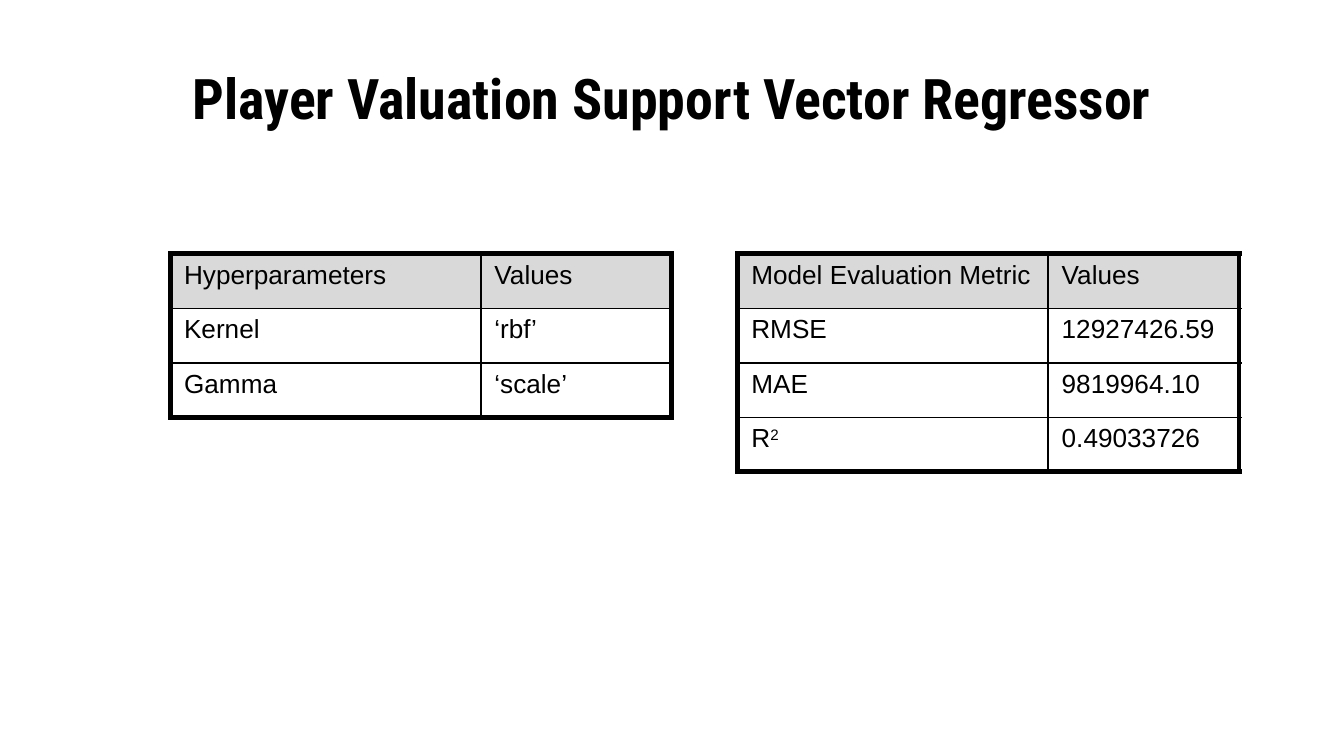
from dataclasses import dataclass

from lxml import etree
from pptx import Presentation
from pptx.dml.color import RGBColor
from pptx.enum.text import MSO_ANCHOR, PP_ALIGN
from pptx.oxml.ns import qn
from pptx.util import Pt

CENTER = PP_ALIGN.CENTER
TOP = MSO_ANCHOR.TOP


@dataclass(frozen=True)
class Theme:
    ink: str = "000000"
    header_fill: str = "D9D9D9"
    title_font: str = "Roboto Condensed"
    body_font: str = "Arial"
    title_size: float = 30
    body_size: float = 14
    outer_line: float = 3
    inner_line: float = 1


@dataclass(frozen=True)
class TextRun:
    text: str
    superscript: bool = False


@dataclass(frozen=True)
class ResultTable:
    left: float
    rows: list  # each row is a (label runs, value) pair; the first is the header


THEME = Theme()
TABLE_TOP = 136
COLUMN_WIDTHS = (166.3, 102.2)
ROW_HEIGHT = 29.2

TABLES = [
    ResultTable(91.4, [
        ([TextRun("Hyperparameters")], "Values"),
        ([TextRun("Kernel")], "‘rbf’"),
        ([TextRun("Gamma")], "‘scale’"),
    ]),
    ResultTable(395.3, [
        ([TextRun("Model Evaluation Metric")], "Values"),
        ([TextRun("RMSE")], "12927426.59"),
        ([TextRun("MAE")], "9819964.10"),
        ([TextRun("R"), TextRun("2", superscript=True)], "0.49033726"),
    ]),
]


def add_run(paragraph, part: TextRun, font_name: str, size: float, bold: bool = False) -> None:
    run = paragraph.add_run()
    run.text = part.text
    run.font.name = font_name
    run.font.size = Pt(size)
    run.font.bold = bold
    run.font.color.rgb = RGBColor.from_string(THEME.ink)
    if part.superscript:
        run.font._element.set("baseline", "30000")


def set_borders(cell, widths: dict[str, float]) -> None:
    """Put border lines ahead of the cell's fill, as the schema requires."""
    properties = cell._tc.get_or_add_tcPr()
    for position, (side, width) in enumerate(widths.items()):
        line = etree.Element(qn(f"a:{side}"), w=str(int(Pt(width))))
        fill = etree.SubElement(line, qn("a:solidFill"))
        etree.SubElement(fill, qn("a:srgbClr"), val=THEME.ink)
        properties.insert(position, line)


def add_title(slide, text: str) -> None:
    box = slide.shapes.add_textbox(Pt(56.2), Pt(42.5), Pt(607.7), Pt(32.4))
    frame = box.text_frame
    frame.word_wrap = True
    frame.vertical_anchor = TOP
    frame.margin_left = frame.margin_right = Pt(7.2)
    frame.margin_top = frame.margin_bottom = Pt(7.2)
    paragraph = frame.paragraphs[0]
    paragraph.alignment = CENTER
    paragraph.line_spacing = 0.5
    add_run(paragraph, TextRun(text), THEME.title_font, THEME.title_size, bold=True)


def add_result_table(slide, result: ResultTable) -> None:
    last_row = len(result.rows) - 1
    last_column = len(COLUMN_WIDTHS) - 1
    table = slide.shapes.add_table(
        last_row + 1, last_column + 1, Pt(result.left), Pt(TABLE_TOP),
        Pt(sum(COLUMN_WIDTHS)), Pt(ROW_HEIGHT * len(result.rows)),
    ).table
    table.first_row = table.horz_banding = False
    for column, width in zip(table.columns, COLUMN_WIDTHS):
        column.width = Pt(width)

    for r, (label, value) in enumerate(result.rows):
        table.rows[r].height = Pt(ROW_HEIGHT)
        for c, runs in enumerate((label, [TextRun(value)])):
            cell = table.cell(r, c)
            if r == 0:
                cell.fill.solid()
                cell.fill.fore_color.rgb = RGBColor.from_string(THEME.header_fill)
            else:
                cell.fill.background()
            # Heavy lines on the table's outside, thin lines within
            on_edge = {"lnL": c == 0, "lnR": c == last_column,
                       "lnT": r == 0, "lnB": r == last_row}
            set_borders(cell, {side: THEME.outer_line if edge else THEME.inner_line
                               for side, edge in on_edge.items()})
            for part in runs:
                add_run(cell.text_frame.paragraphs[0], part, THEME.body_font, THEME.body_size)


def main() -> None:
    presentation = Presentation()
    presentation.slide_width, presentation.slide_height = Pt(720), Pt(405)
    slide = presentation.slides.add_slide(presentation.slide_layouts[6])

    # Heading
    add_title(slide, "Player Valuation Support Vector Regressor")

    # Settings and scores side by side
    for result in TABLES:
        add_result_table(slide, result)

    presentation.save("out.pptx")


if __name__ == "__main__":
    main()
